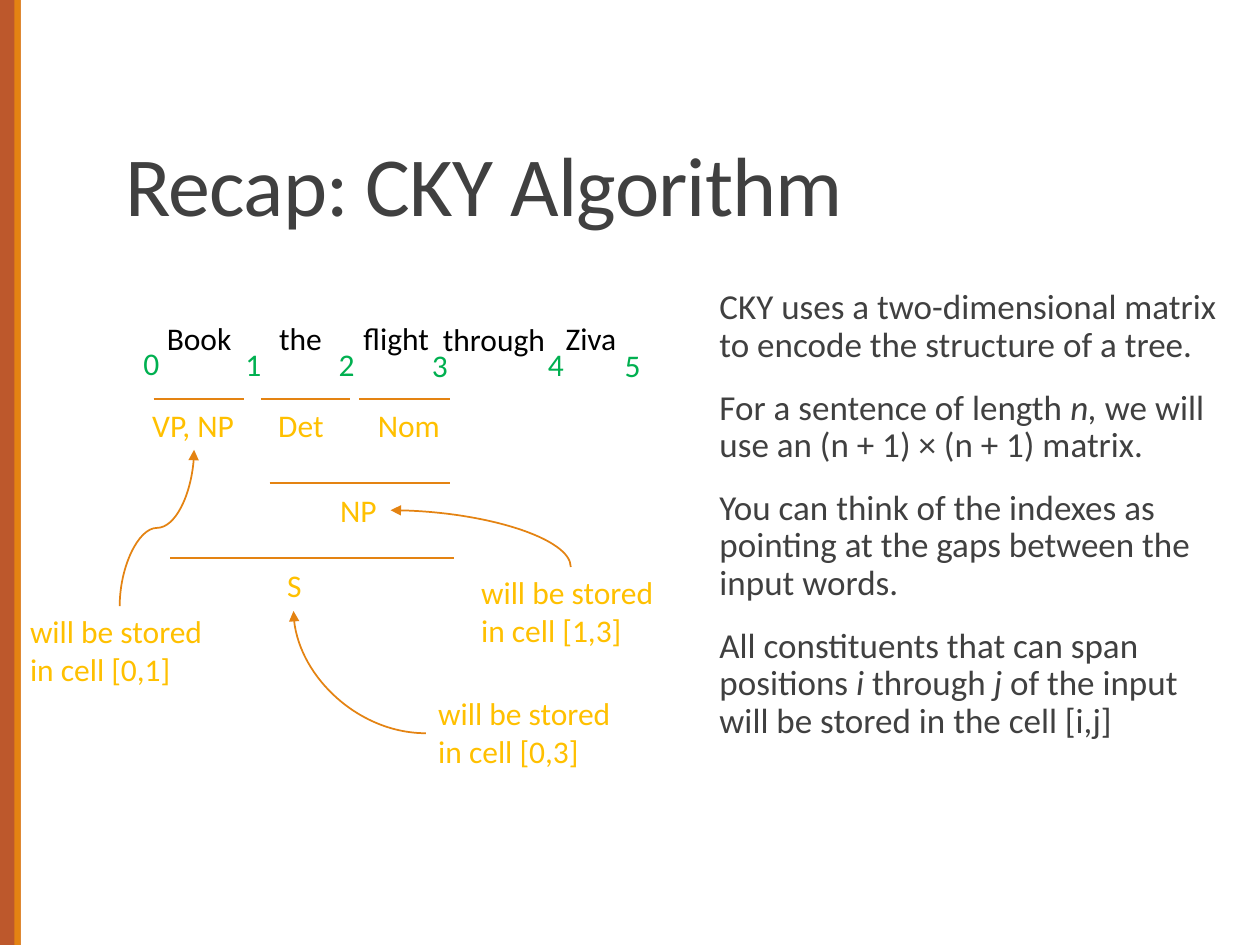
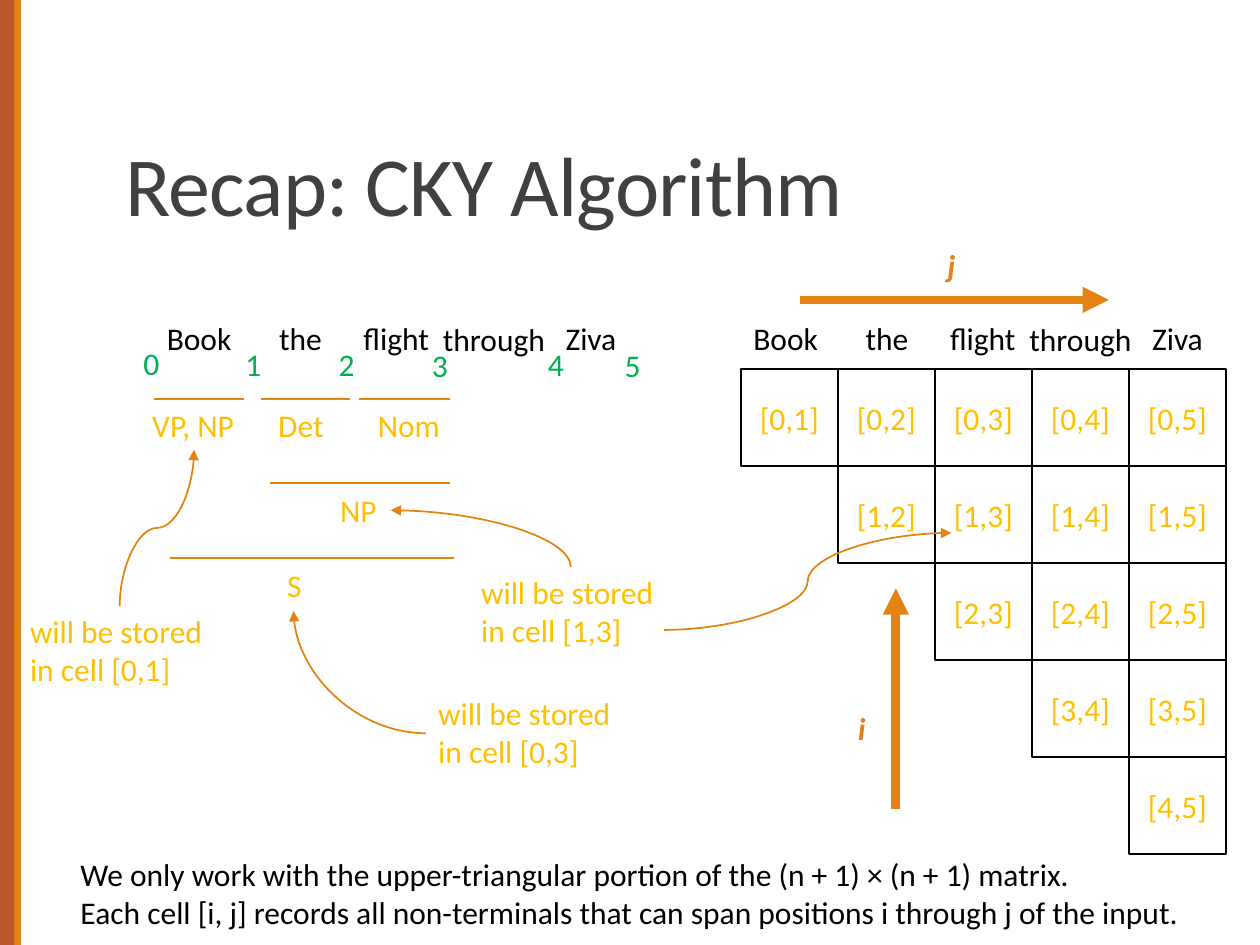
from lxml.etree import SubElement
from pptx import Presentation
from pptx.dml.color import RGBColor
from pptx.enum.shapes import MSO_CONNECTOR, MSO_SHAPE
from pptx.enum.text import MSO_ANCHOR, MSO_AUTO_SIZE, PP_ALIGN
from pptx.oxml.ns import qn
from pptx.util import Inches, Pt

RUST = RGBColor(0xBD, 0x58, 0x2C)
ORANGE = RGBColor(0xE4, 0x83, 0x12)
GOLD = RGBColor(0xFF, 0xC0, 0x00)
GREEN = RGBColor(0x00, 0xB0, 0x50)
GREY = RGBColor(0x40, 0x40, 0x40)
BLACK = RGBColor(0x00, 0x00, 0x00)
WHITE = RGBColor(0xFF, 0xFF, 0xFF)

COLUMNS, ROWS = 100, 75
CELL = 7.7
MATRIX_LEFT, MATRIX_TOP = 58.8, 29.3
WORD_SHIFT = 46.55

WORDS = [("Book", 12.2, 24.8, 7.2), ("the", 21.1, 24.8, 5.5), ("flight", 27.8, 24.8, 7.3),
         ("through", 34.1, 24.9, 10.2), ("Ziva", 43.5, 24.8, 6.8)]
GAPS = [(10.4, 26.8), (18.5, 26.9), (25.9, 26.9), (33.3, 27), (42.5, 26.9), (48.6, 27)]
SPANS = [(12.2, 19.4, 31.65), (20.7, 27.8, 31.65), (28.5, 35.7, 31.65),
         (21.4, 35.7, 38.33), (13.5, 36, 44.3)]
CONSTITUENTS = [("VP, NP", 11.1, 31.7, 8.6), ("Det", 21.1, 31.7, 5.7), ("Nom", 29, 31.7, 7),
                ("NP", 26, 38.5, 4.9), ("S", 21.8, 44.4, 2.9)]
STORED = [("[0,1]", 1.4, 48.1), ("[1,3]", 37.2, 45), ("[0,3]", 33.8, 54.6)]
EXPLANATION = [
    "CKY uses a two-dimensional matrix to encode the structure of a tree.",
    "For a sentence of length *n,* we will use an (n + 1) × (n + 1) matrix.",
    "You can think of the indexes as pointing at the gaps between the input words.",
    "All constituents that can span positions *i* through *j* of the input "
    "will be stored in the cell [i,j]",
]
SUMMARY = [
    "We only work with the upper-triangular portion of the (n + 1) × (n + 1) matrix.",
    "Each cell [i, j] records all non-terminals that can span positions i through j of the input.",
]


def write(tf, paragraphs, size=18, color=BLACK, bold=False, italic=False, align=PP_ALIGN.LEFT,
          leading=None, before=0, after=0, tracking=None):
    for n, text in enumerate(paragraphs):
        p = tf.add_paragraph() if n else tf.paragraphs[0]
        p.alignment = align
        p.line_spacing = leading
        p.space_before = Pt(before if n else 0)
        p.space_after = Pt(after)
        for k, part in enumerate(text.split("*")):
            r = p.add_run()
            r.text = part
            r.font.name = "Calibri"
            r.font.size = Pt(size)
            r.font.color.rgb = color
            r.font.bold = bold
            r.font.italic = italic or k % 2 == 1
            if tracking:
                r.font._element.set("spc", str(tracking))


class Deck:
    def __init__(self):
        self.prs = Presentation()
        self.prs.slide_width, self.prs.slide_height = Inches(10), Inches(7.5)
        self.s = None

    def place(self, x, y):
        return round(self.prs.slide_width * x / COLUMNS), round(self.prs.slide_height * y / ROWS)

    def new_slide(self, title):
        self.s = self.prs.slides.add_slide(self.prs.slide_layouts[6])
        self.box(0, 0, 1.65, ROWS, RUST)
        self.box(1.15, 0, 0.5, ROWS, ORANGE)
        self.text([title], 9, 3.1, 82.5, 15.9, wrap=True, anchor=MSO_ANCHOR.BOTTOM,
                  size=48, color=GREY, leading=0.85, tracking=-50)

    def box(self, x, y, w, h, fill, border=None):
        sp = self.s.shapes.add_shape(MSO_SHAPE.RECTANGLE, *self.place(x, y), *self.place(w, h))
        sp.shadow.inherit = False
        sp.fill.solid()
        sp.fill.fore_color.rgb = fill
        if border:
            sp.line.color.rgb = border
            sp.line.width = Pt(1.25)
        else:
            sp.line.fill.background()
        return sp

    def text(self, paragraphs, x, y, w, h=4, wrap=False, anchor=MSO_ANCHOR.TOP, inset=1, **style):
        sp = self.s.shapes.add_textbox(*self.place(x, y), *self.place(w, h))
        tf = sp.text_frame
        tf.word_wrap = wrap
        tf.auto_size = MSO_AUTO_SIZE.NONE if wrap else MSO_AUTO_SIZE.SHAPE_TO_FIT_TEXT
        tf.vertical_anchor = anchor
        tf.margin_left = tf.margin_right = self.place(inset, 0)[0]
        write(tf, paragraphs, **style)

    def line(self, start, end, width=1, arrow=False, kind=MSO_CONNECTOR.STRAIGHT):
        c = self.s.shapes.add_connector(kind, *self.place(*start), *self.place(*end))
        c.line.color.rgb = ORANGE
        c.line.width = Pt(width)
        if arrow:
            SubElement(c.line._get_or_add_ln(), qn("a:tailEnd"), type="triangle")
        SubElement(c._element.spPr, qn("a:effectLst"))
        return c

    def curve(self, start, end, rising=False, preset="curvedConnector3"):
        if rising:
            dx, dy = end[0] - start[0], abs(end[1] - start[1])
            cx, cy = (start[0] + end[0]) / 2, (start[1] + end[1]) / 2
            start, end = (cx - dy / 2, cy - dx / 2), (cx + dy / 2, cy + dx / 2)
        c = self.line(start, end, arrow=True, kind=MSO_CONNECTOR.CURVE)
        spPr = c._element.spPr
        spPr.find(qn("a:prstGeom")).set("prst", preset)
        if rising:
            spPr.find(qn("a:xfrm")).set("rot", str(270 * 60000))

    def words(self, shift=0):
        for word, x, y, w in WORDS:
            self.text([word], x + shift, y, w, align=PP_ALIGN.CENTER)

    def parse_tree(self):
        self.words()
        for n, (x, y) in enumerate(GAPS):
            self.text([str(n)], x, y, 3.3, color=GREEN)
        for left, right, y in SPANS:
            self.line((left, y), (right, y))
        for label, x, y, w in CONSTITUENTS:
            self.text([label], x, y, w, color=GOLD)
        self.curve((9.5, 48.1), (15.4, 35.7), rising=True)
        self.curve((45.3, 45), (31, 40.5), rising=True, preset="curvedConnector2")
        self.curve((33.8, 58.2), (23.3, 48.5), preset="curvedConnector2")
        for cell, x, y in STORED:
            self.text([f"will be stored in cell {cell}"], x, y, 16.3, 7.1, wrap=True, color=GOLD)

    def matrix(self):
        size = len(WORDS)
        for i in range(size):
            for j in range(i + 1, size + 1):
                sp = self.box(MATRIX_LEFT + (j - 1) * CELL, MATRIX_TOP + i * CELL,
                              CELL, CELL, WHITE, BLACK)
                sp.text_frame.vertical_anchor = MSO_ANCHOR.MIDDLE
                write(sp.text_frame, [f"[{i},{j}]"], color=GOLD, align=PP_ALIGN.CENTER)
        self.words(WORD_SHIFT)
        self.line((71.1, 64.2), (71.1, 46.7), width=5, arrow=True)
        self.line((63.5, 23.8), (88, 23.8), width=5, arrow=True)
        for index, x, y in [("i", 67.1, 55.8), ("j", 74.2, 19)]:
            self.text([index], x, y, 2.6, color=ORANGE, bold=True, italic=True)


def main():
    deck = Deck()
    title = "Recap: CKY Algorithm"

    deck.new_slide(title)
    deck.text(EXPLANATION, 57.1, 22.5, 40.5, 44, wrap=True, inset=0,
              size=20, color=GREY, leading=0.9, before=12, after=2)
    deck.parse_tree()

    deck.new_slide(title)
    deck.matrix()
    deck.parse_tree()
    deck.text(SUMMARY, 5.4, 67.4, 93.5, 7)
    deck.curve((52.7, 50), (75.5, 42.3))

    deck.prs.save("out.pptx")


if __name__ == "__main__":
    main()
